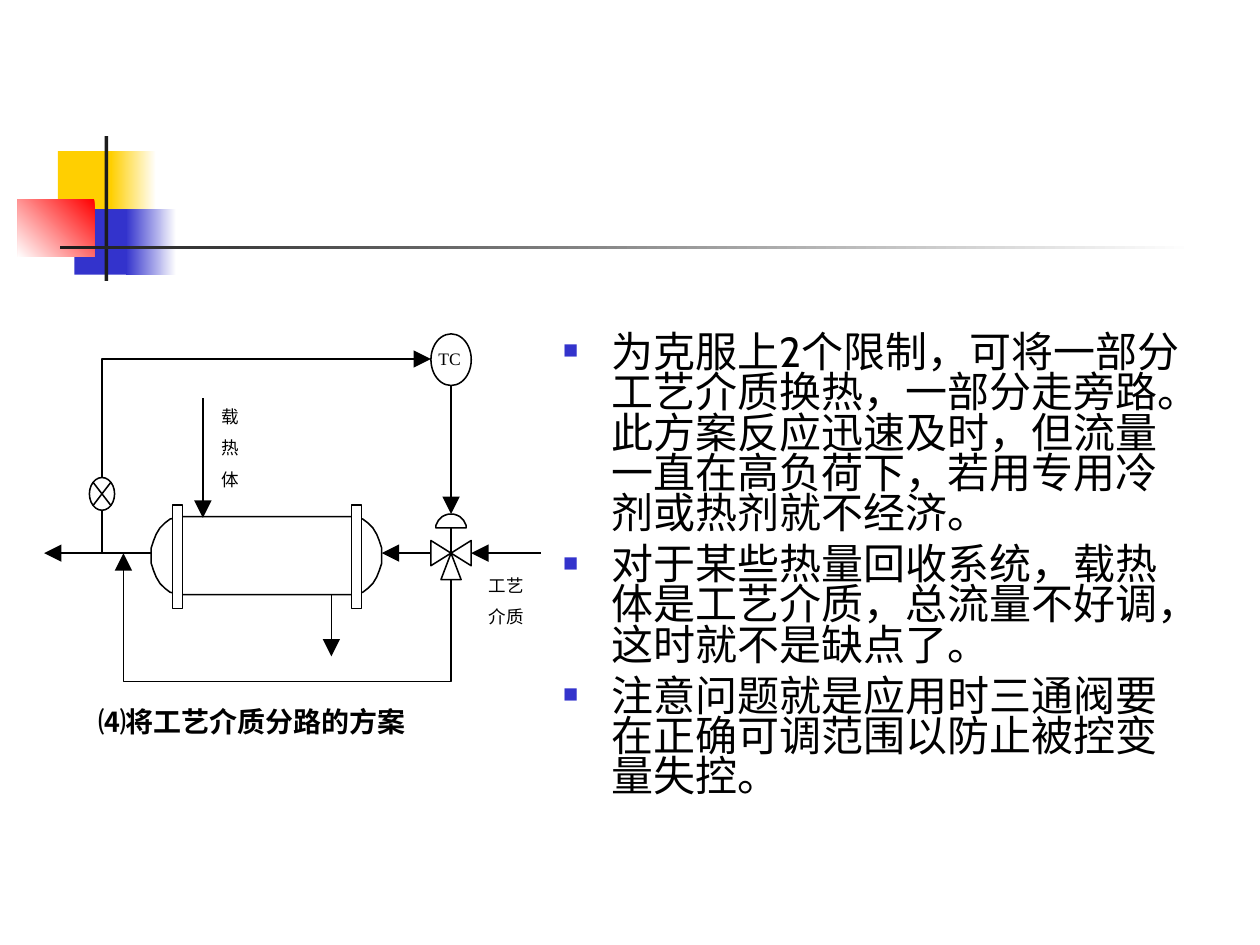
from math import cos, pi, sin

from lxml.etree import SubElement
from pptx import Presentation
from pptx.dml.color import RGBColor
from pptx.enum.shapes import MSO_CONNECTOR, MSO_SHAPE
from pptx.enum.text import MSO_ANCHOR, MSO_AUTO_SIZE, PP_ALIGN
from pptx.oxml.ns import qn
from pptx.util import Inches, Pt

PX = 9144
BLACK = RGBColor(0x00, 0x00, 0x00)
WHITE = RGBColor(0xFF, 0xFF, 0xFF)
YELLOW = RGBColor(0xFF, 0xCF, 0x01)
BLUE = RGBColor(0x33, 0x33, 0xCC)
RED = RGBColor(0xFF, 0x00, 0x00)
CHARCOAL = RGBColor(0x1C, 0x1C, 0x1C)
BODY_FONT, LABEL_FONT, TAG_FONT = "Cabin", "Noto Sans CJK SC", "Times New Roman"

BODY_BOX = (437, 261, 512, 410)
BULLETS = [
    "为克服上2个限制，可将一部分工艺介质换热，一部分走旁路。此方案反应迅速及时，但流量一直在高负荷下，若用专用冷剂或热剂就不经济。",
    "对于某些热量回收系统，载热体是工艺介质，总流量不好调，这时就不是缺点了。",
    "注意问题就是应用时三通阀要在正确可调范围以防止被控变量失控。",
]
CAPTION = ("⑷将工艺介质分路的方案", (68, 554, 289, 37))
LABELS = [
    ("TC", (348, 276, 18, 17), TAG_FONT),
    ("载", (176, 322, 14, 17), LABEL_FONT),
    ("热", (176, 347, 14, 17), LABEL_FONT),
    ("体", (176, 372, 14, 17), LABEL_FONT),
    ("工艺", (388, 456, 28, 17), LABEL_FONT),
    ("介质", (388, 481, 28, 17), LABEL_FONT),
]
DECORATIONS = [
    ((46, 120, 48, 52), [YELLOW], 0),
    ((88, 120, 36, 52), [WHITE, YELLOW], 180),
    ((59, 166, 46, 52), [BLUE], 0),
    ((100, 166, 40, 52), [WHITE, BLUE], 180),
    ((14, 158, 61, 46), [RED, WHITE], 225),
    ((83, 108, 3, 115), [CHARCOAL], 0),
    ((48, 195, 900, 3), [WHITE, CHARCOAL], 180),
]
PIPE_Y = 439
VALVE_X = 358
EQUIPMENT = [
    (MSO_SHAPE.RECTANGLE, (137, 401, 8, 82)),
    (MSO_SHAPE.RECTANGLE, (279, 401, 8, 82)),
    (MSO_SHAPE.FLOWCHART_SUMMING_JUNCTION, (71, 379, 20, 26)),
    (MSO_SHAPE.OVAL, (342, 265, 32, 41)),
]
FLOWS = [
    [(120, PIPE_Y), (35, PIPE_Y)],
    [(342, PIPE_Y), (303, PIPE_Y)],
    [(429, PIPE_Y), (374, PIPE_Y)],
    [(161, 316), (161, 411)],
    [(263, 472), (263, 521)],
    [(VALVE_X, 306), (VALVE_X, 408)],
    [(81, 379), (81, 285), (342, 285)],
    [(VALVE_X, 460), (VALVE_X, 541), (98, 541), (98, PIPE_Y)],
]
PLAIN_LINES = [
    [(81, 405), (81, PIPE_Y)],
    [(VALVE_X, PIPE_Y), (VALVE_X, 419)],
]
VALVE_PORTS = [
    [(342, 429), (342, 449)],
    [(374, 429), (374, 449)],
    [(350, 460), (366, 460)],
]


def scaled(lengths):
    return [length * PX for length in lengths]


def arc_points(center, radii, start, end, steps=16):
    angles = [start + (end - start) * step / steps for step in range(steps + 1)]
    return [(center[0] + radii[0] * cos(angle), center[1] + radii[1] * sin(angle))
            for angle in angles]


def style_line(shape, arrow=False):
    shape.line.color.rgb = BLACK
    shape.line.width = Pt(0.88)
    if arrow:
        SubElement(shape.line._get_or_add_ln(), qn("a:tailEnd"),
                   type="triangle", w="lg", len="lg")


def add_outline(shapes, points, fill=None, closed=True, arrow=False):
    builder = shapes.build_freeform(*points[0], scale=PX)
    builder.add_line_segments(points[1:], close=closed)
    shape = builder.convert_to_shape()
    shape.shadow.inherit = False
    if fill is None:
        shape.fill.background()
    else:
        shape.fill.solid()
        shape.fill.fore_color.rgb = fill
    style_line(shape, arrow)


def add_pipe(shapes, points, arrow=False):
    if len(points) > 2:
        add_outline(shapes, points, closed=False, arrow=arrow)
        return
    connector = shapes.add_connector(MSO_CONNECTOR.STRAIGHT,
                                     *scaled(points[0] + points[1]))
    style_line(connector, arrow)
    SubElement(connector._element.spPr, qn("a:effectLst"))


def add_block(shapes, kind, box, colors, angle=0, outlined=False):
    shape = shapes.add_shape(kind, *scaled(box))
    shape.shadow.inherit = False
    if len(colors) == 1:
        shape.fill.solid()
        shape.fill.fore_color.rgb = colors[0]
    else:
        shape.fill.gradient()
        shape.fill.gradient_angle = angle
        for stop, color in zip(shape.fill.gradient_stops, colors):
            stop.color.rgb = color
    if outlined:
        style_line(shape)
    else:
        shape.line.fill.background()


def write_run(paragraph, text, *, font, size, bold=False):
    run = paragraph.add_run()
    run.text = text
    run.font.name = font
    run.font.size = Pt(size)
    run.font.bold = bold
    run.font.color.rgb = BLACK
    SubElement(run._r.get_or_add_rPr(), qn("a:ea"), typeface=font)


def add_text(shapes, text, box, *, font, size, bold=False, wrap=False, inset=(0, 0)):
    frame = shapes.add_textbox(*scaled(box)).text_frame
    frame.word_wrap = wrap
    frame.margin_left = frame.margin_right = Inches(inset[0])
    frame.margin_top = frame.margin_bottom = Inches(inset[1])
    write_run(frame.paragraphs[0], text, font=font, size=size, bold=bold)


def add_bullet(paragraph):
    properties = paragraph._p.get_or_add_pPr()
    properties.set("marL", str(38 * PX))
    properties.set("indent", str(-38 * PX))
    color = SubElement(properties, qn("a:buClr"))
    SubElement(color, qn("a:srgbClr"), val=str(BLUE))
    SubElement(properties, qn("a:buSzPct"), val="60000")
    SubElement(properties, qn("a:buChar"), char="■")


def fill_body(body):
    body.left, body.top, body.width, body.height = scaled(BODY_BOX)
    frame = body.text_frame
    frame.word_wrap = True
    frame.auto_size = MSO_AUTO_SIZE.NONE
    frame.vertical_anchor = MSO_ANCHOR.TOP
    for index, text in enumerate(BULLETS):
        paragraph = frame.add_paragraph() if index else frame.paragraphs[0]
        add_bullet(paragraph)
        paragraph.alignment = PP_ALIGN.LEFT
        paragraph.line_spacing = 0.8
        paragraph.space_before = Pt(6 if index else 0)
        write_run(paragraph, text, font=BODY_FONT, size=24)


def main():
    presentation = Presentation()
    presentation.slide_width, presentation.slide_height = scaled((1000, 750))
    slide = presentation.slides.add_slide(presentation.slide_layouts[1])
    shapes = slide.shapes
    title = shapes.title._element
    title.getparent().remove(title)
    fill_body(slide.placeholders[1])

    for box, colors, angle in DECORATIONS:
        add_block(shapes, MSO_SHAPE.RECTANGLE, box, colors, angle)

    vessel = (arc_points((279, 441), (24, 31), -pi / 2, pi / 2)
              + arc_points((144, 441), (24, 31), pi / 2, 3 * pi / 2))
    add_outline(shapes, vessel, fill=WHITE)
    for kind, box in EQUIPMENT:
        add_block(shapes, kind, box, [WHITE], outlined=True)
    for port in VALVE_PORTS:
        add_outline(shapes, port + [(VALVE_X, PIPE_Y)])
    add_outline(shapes, arc_points((VALVE_X, 419), (12, 11), pi, 2 * pi))

    for points in PLAIN_LINES:
        add_pipe(shapes, points)
    for points in FLOWS:
        add_pipe(shapes, points, arrow=True)
    for text, box, font in LABELS:
        add_text(shapes, text, box, font=font, size=10)
    add_text(shapes, *CAPTION, font=BODY_FONT, size=16, bold=True, wrap=True,
             inset=(0.1, 0.05))
    presentation.save("out.pptx")


if __name__ == "__main__":
    main()
